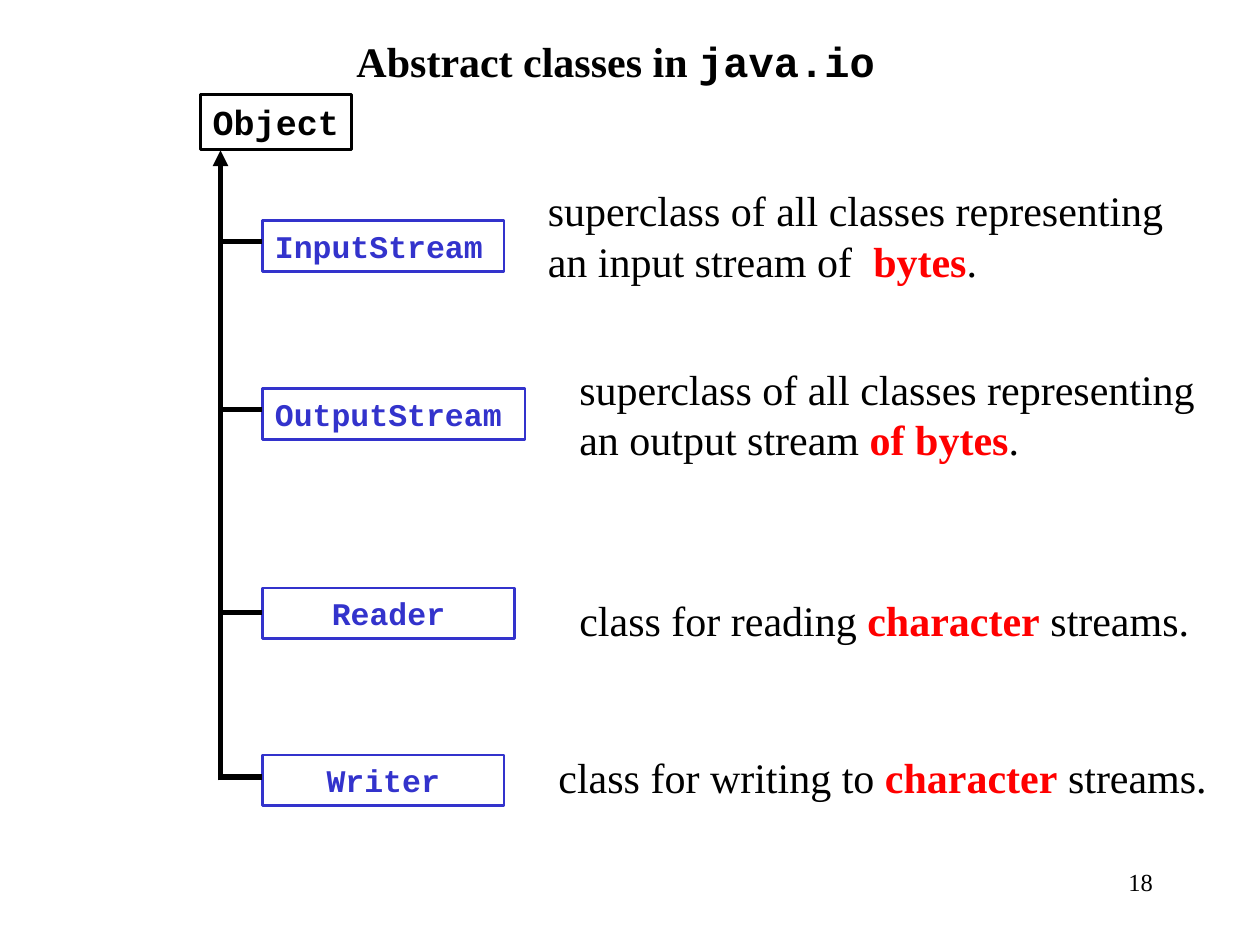
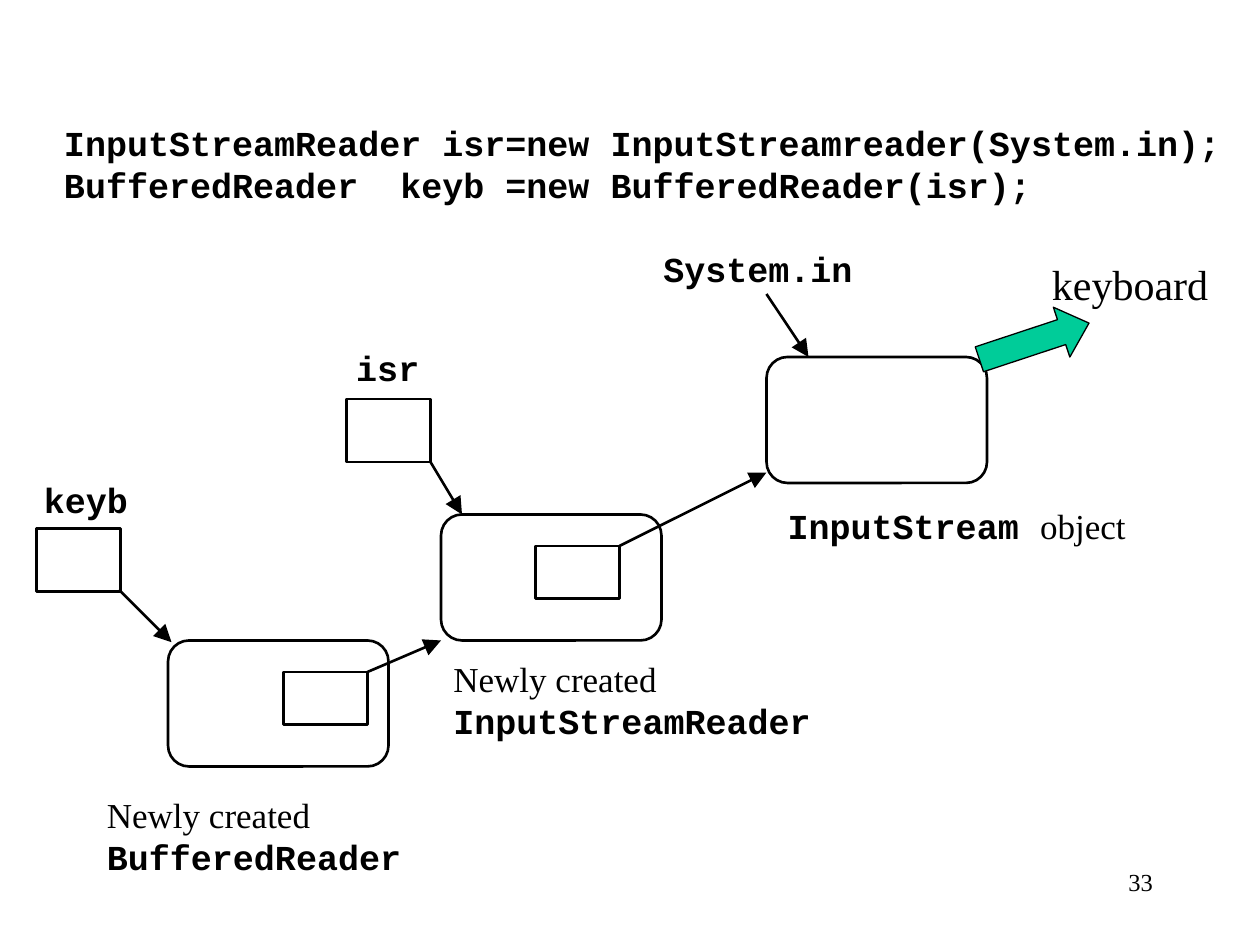
"""Build two slides on the stream classes of java.io and how they chain."""
from dataclasses import dataclass

from lxml import etree
from pptx import Presentation
from pptx import util as u
from pptx.dml.color import RGBColor
from pptx.enum import shapes, text
from pptx.oxml import ns


@dataclass(frozen=True)
class Theme:
    """Colours, typefaces, type sizes and line widths."""
    ink: str = "000000"
    class_blue: str = "3333CC"
    emphasis: str = "FF0000"
    arrow_green: str = "00CC99"
    serif: str = "Times New Roman"
    mono: str = "Courier New"
    body: int = 24
    label: int = 20
    class_name: int = 18
    number: int = 14
    thin: float = 0.75
    line: float = 1.5
    heavy: float = 3


THEME = Theme()
LEFT, CENTER, RIGHT = text.PP_ALIGN.LEFT, text.PP_ALIGN.CENTER, text.PP_ALIGN.RIGHT
RECT, ROUNDED = shapes.MSO_SHAPE.RECTANGLE, shapes.MSO_SHAPE.ROUNDED_RECTANGLE
CODE = {"face": THEME.mono, "bold": True}
LABEL = {"size": THEME.label}
LABEL_CODE = {**LABEL, **CODE}
STRONG = {"color": THEME.emphasis, "bold": True}


def add_span(para, words, size=THEME.body, face=THEME.serif, color=THEME.ink, bold=False):
    """Append formatted words to a paragraph."""
    span = para.add_run()
    span.text = words
    span.font.size = u.Pt(size)
    span.font.name = face
    span.font.bold = bold
    span.font.color.rgb = RGBColor.from_string(color)


class SlideWriter:
    """Holds the deck, its style and the current page."""

    def __init__(self, theme):
        self.theme = theme
        self.deck = Presentation()
        self.deck.slide_width, self.deck.slide_height = u.Pt(720), u.Pt(540)
        self.page = None

    def start_page(self, number, titled=False):
        """Add a page with its number at the lower right."""
        self.page = self.deck.slides.add_slide(self.deck.slide_layouts[5 if titled else 6])
        self.text_box((516, 492, 150, 36), [[(str(number), {"size": self.theme.number})]],
                      align=RIGHT, wrap=True)

    def fill_frame(self, frame, lines, align=LEFT, wrap=False):
        """Write lines of (words, format) spans into a text frame."""
        frame.word_wrap = wrap
        frame.auto_size = text.MSO_AUTO_SIZE.NONE
        frame.vertical_anchor = text.MSO_ANCHOR.TOP
        for index, spans in enumerate(lines):
            para = frame.add_paragraph() if index else frame.paragraphs[0]
            para.alignment = align
            for words, style in spans:
                add_span(para, words, **style)

    def title(self, place, spans):
        """Move and format the title placeholder."""
        box = self.page.shapes.title
        box.left, box.top, box.width, box.height = map(u.Pt, place)
        self.fill_frame(box.text_frame, [spans], wrap=True)

    def text_box(self, place, lines, **layout):
        """Add a text box."""
        box = self.page.shapes.add_textbox(*map(u.Pt, place))
        self.fill_frame(box.text_frame, lines, **layout)

    def shape(self, kind, place, color=THEME.ink, width=THEME.line, fill=None):
        """Add an outlined preset shape."""
        box = self.page.shapes.add_shape(kind, *map(u.Pt, place))
        box.shadow.inherit = False
        box.line.color.rgb = RGBColor.from_string(color)
        box.line.width = u.Pt(width)
        if fill:
            box.fill.solid()
            box.fill.fore_color.rgb = RGBColor.from_string(fill)
        else:
            box.fill.background()
        return box

    def class_box(self, place, name, size, color, **layout):
        """Add a rectangle that holds a class name."""
        box = self.shape(RECT, place, color)
        self.fill_frame(box.text_frame, [[(name, {**CODE, "size": size, "color": color})]], **layout)

    def line(self, start, end, width=THEME.line, head=None):
        """Add a straight line, with an arrowhead of the given size at its end."""
        link = self.page.shapes.add_connector(
            shapes.MSO_CONNECTOR.STRAIGHT, *map(u.Pt, (*start, *end)))
        link.line.color.rgb = RGBColor.from_string(self.theme.ink)
        link.line.width = u.Pt(width)
        properties = link._element.spPr
        if head:
            etree.SubElement(properties.find(ns.qn("a:ln")), ns.qn("a:tailEnd"),
                             type="triangle", w=head, len=head)
        etree.SubElement(properties, ns.qn("a:effectLst"))


def build_hierarchy(writer):
    """Draw the four abstract classes below Object."""
    theme = writer.theme
    trunk, class_left = 126, 150
    writer.start_page(18, titled=True)
    writer.title((196.5, 16.5, 330, 36),
                 [("Abstract classes in ", {"bold": True}), ("java.io", CODE)])
    writer.class_box((114.5, 54, 86.5, 31.5), "Object", theme.label, theme.ink)
    writer.line((trunk, 446), (trunk, 86), theme.heavy, head="med")

    superclass = [("superclass of all classes representing", {})]
    classes = [
        ("InputStream", 126, 138, LEFT, 138, (306, 102, 366, 65),
         [superclass, [("an input stream of", {}), ("  bytes", STRONG), (".", {})]]),
        ("OutputStream", 222, 150, LEFT, 234, (324, 204, 366, 65),
         [superclass, [("an output stream", {}), (" of bytes", STRONG), (".", {})]]),
        ("Reader", 336, 144, CENTER, 350, (324, 336, 363, 36),
         [[("class for reading", {}), (" character", STRONG), (" streams.", {})]]),
        ("Writer", 431.5, 138, CENTER, 444, (312, 426, 384, 36),
         [[("class for writing to", {}), (" character", STRONG), (" streams.", {})]]),
    ]
    for name, top, width, align, branch, place, lines in classes:
        writer.class_box((class_left, top, width, 29), name, theme.class_name,
                         theme.class_blue, align=align, wrap=True)
        writer.line((trunk, branch), (class_left, branch), theme.heavy)
        writer.text_box(place, lines)


def build_reader_chain(writer):
    """Draw the objects that link keyb to the keyboard."""
    theme = writer.theme
    writer.start_page(33)
    writer.text_box((29.5, 66, 675.5, 79), [
        [("InputStreamReader isr=new InputStreamreader(System.in);", LABEL_CODE)],
        [("BufferedReader  keyb =new BufferedReader(isr);", LABEL_CODE)]])

    for left, top in [(96, 366), (252, 294), (438, 204)]:
        writer.shape(ROUNDED, (left, top, 126, 72))
    for left, top in [(162, 384), (306, 312)]:
        writer.shape(RECT, (left, top, 48, 30))
    for left, top in [(21, 302), (198, 228)]:
        writer.shape(RECT, (left, top, 48, 36))

    references = [((68, 337), (98, 367)), ((210, 384), (252, 366)),
                  ((246, 264), (264, 294)), ((354, 312), (438, 270)),
                  ((438, 168), (462, 204))]
    for start, end in references:
        writer.line(start, end, head="lg")

    for name, left, top, width in [("keyb", 18, 270, 63), ("isr", 196.5, 194.5, 50.5),
                                   ("System.in", 372, 138, 122.5)]:
        writer.text_box((left, top, width, 31.5), [[(name, LABEL_CODE)]])
    for name, left, top, width in [("BufferedReader", 54, 450, 183),
                                   ("InputStreamReader", 252, 372, 219)]:
        writer.text_box((left, top, width, 55.5),
                        [[("Newly created", LABEL)], [(name, LABEL_CODE)]])
    writer.text_box((443, 284.5, 207.5, 31.5),
                    [[("InputStream ", LABEL_CODE), ("object", LABEL)]])

    arrow = writer.shape(shapes.MSO_SHAPE.RIGHT_ARROW, (558, 180, 66, 30),
                         width=theme.thin, fill=theme.arrow_green)
    arrow.adjustments[1] = 0.55
    arrow.rotation = -18.3
    writer.text_box((594, 144, 103.5, 36), [[("keyboard", {})]])


def main():
    """Build and save the deck."""
    writer = SlideWriter(THEME)
    build_hierarchy(writer)
    build_reader_chain(writer)
    writer.deck.save("out.pptx")


if __name__ == "__main__":
    main()
